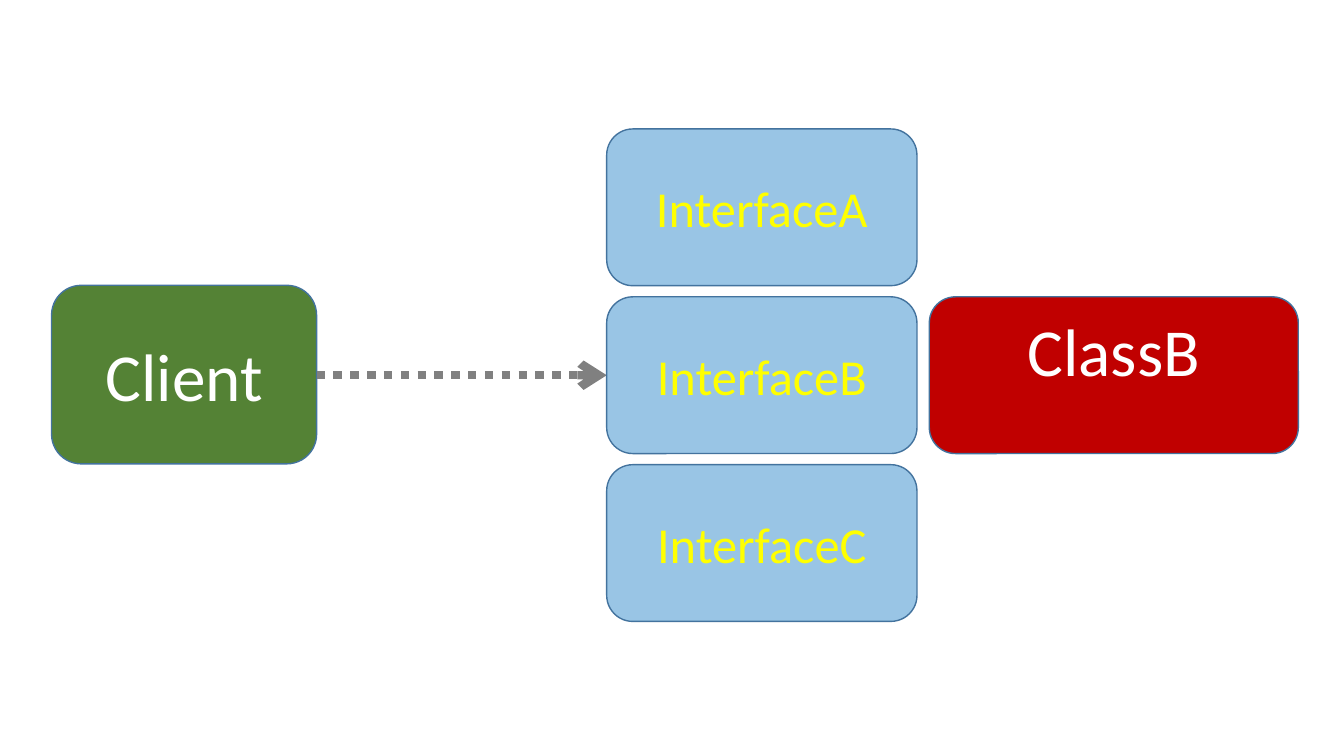
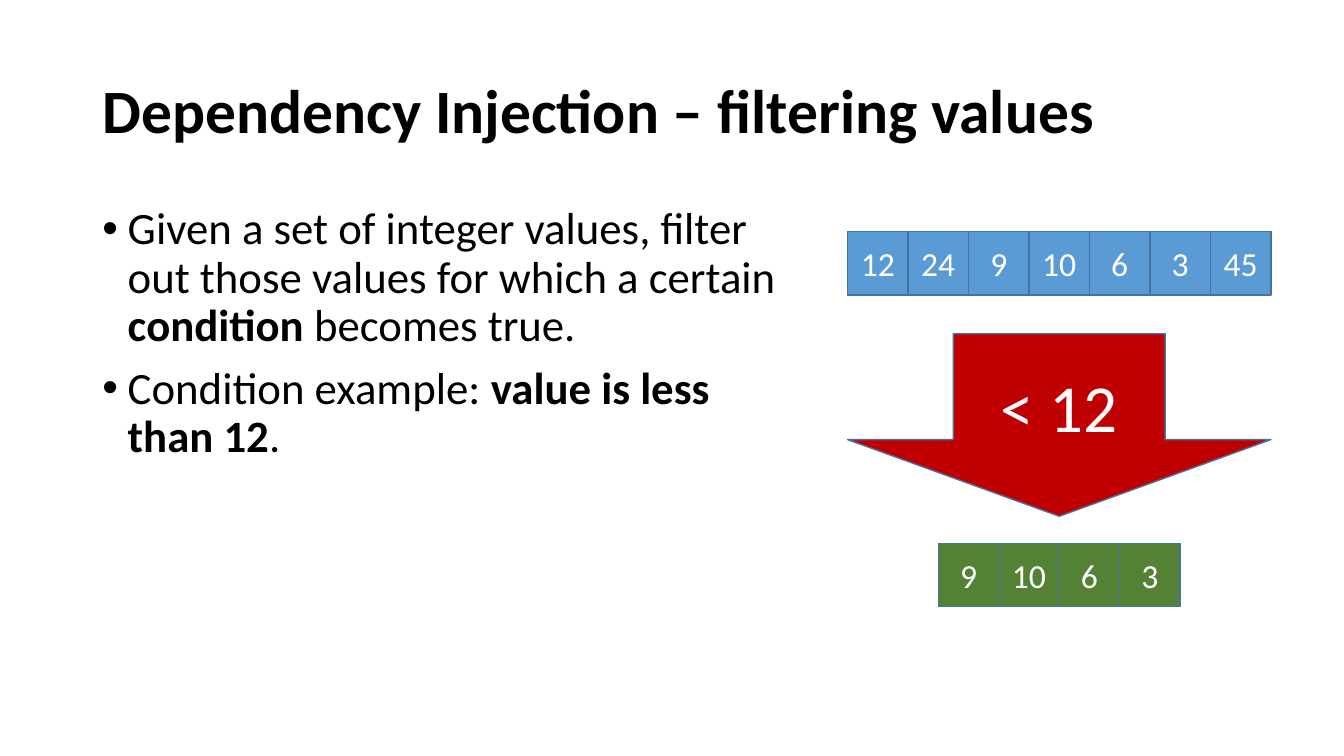
from lxml import etree
from pptx import Presentation
from pptx.dml.color import RGBColor
from pptx.enum import dml, shapes, text
from pptx.oxml import ns
from pptx.util import Cm, Pt

FONT = "Calibri"
BLACK = RGBColor(0x00, 0x00, 0x00)
WHITE = RGBColor(0xFF, 0xFF, 0xFF)
YELLOW = RGBColor(0xFF, 0xFF, 0x00)
GREEN = RGBColor(0x54, 0x82, 0x35)
RED = RGBColor(0xC0, 0x00, 0x00)
BLUE = RGBColor(0x5B, 0x9B, 0xD5)
INTERFACE_BLUE = RGBColor(0x00, 0x70, 0xC0)
OUTLINE = RGBColor(0x43, 0x73, 0x9E)
GREY = RGBColor(0x80, 0x80, 0x80)

TITLE_ONLY, BLANK = 5, 6
ROUNDED = shapes.MSO_SHAPE.ROUNDED_RECTANGLE


def add_xml(parent, tag, **attributes):
    return etree.SubElement(parent, ns.qn(tag), attributes)


def style_run(run, size, color, bold=False):
    run.font.name = FONT
    run.font.size = Pt(size)
    run.font.color.rgb = color
    run.font.bold = bold


def add_block(slide, kind, box, label, size, fill, color=WHITE,
              anchor=text.MSO_ANCHOR.MIDDLE):
    """Add an outlined shape with one centred label."""
    block = slide.shapes.add_shape(kind, *box)
    block.shadow.inherit = False
    block.fill.solid()
    block.fill.fore_color.rgb = fill
    block.line.color.rgb = OUTLINE
    block.line.width = Pt(1)
    block.text_frame.text = label
    block.text_frame.vertical_anchor = anchor
    paragraph = block.text_frame.paragraphs[0]
    paragraph.alignment = text.PP_ALIGN.CENTER
    style_run(paragraph.runs[0], size, color)
    return block


def add_dotted_arrow(slide, start, end):
    arrow = slide.shapes.add_connector(shapes.MSO_CONNECTOR.STRAIGHT, *start, *end)
    arrow.line.color.rgb = GREY
    arrow.line.width = Pt(6)
    arrow.line.dash_style = dml.MSO_LINE.ROUND_DOT
    add_xml(arrow.line._get_or_add_ln(), "a:tailEnd", type="arrow")
    add_xml(arrow._element.spPr, "a:effectLst")


def add_interfaces(slide, left, top, width, height, pitch, names):
    """Stack translucent interface blocks at an equal pitch."""
    for row, name in enumerate(names):
        block = add_block(slide, ROUNDED, (left, top + row * pitch, width, height),
                          name, 36, INTERFACE_BLUE, YELLOW)
        solid_color = block._element.spPr.find(ns.qn("a:solidFill"))[0]
        add_xml(solid_color, "a:alpha", val="40000")


def add_title(slide, title):
    heading = slide.shapes.title
    heading.left, heading.top = Cm(2.33), Cm(1.01)
    heading.width, heading.height = Cm(29.21), Cm(3.68)
    heading.text_frame.text = title
    heading.text_frame.vertical_anchor = text.MSO_ANCHOR.MIDDLE
    paragraph = heading.text_frame.paragraphs[0]
    paragraph.alignment = text.PP_ALIGN.LEFT
    paragraph.line_spacing = 0.9
    style_run(paragraph.runs[0], 44, BLACK, bold=True)


def add_bullets(slide, box, bullets):
    """Add bullets, each a list of phrases that alternate plain and bold."""
    frame = slide.shapes.add_textbox(*box).text_frame
    frame.word_wrap = True
    for index, phrases in enumerate(bullets):
        paragraph = frame.add_paragraph() if index else frame.paragraphs[0]
        paragraph.line_spacing = 0.9
        paragraph.space_before = Pt(10)
        properties = paragraph._p.get_or_add_pPr()
        properties.set("marL", str(Cm(0.64)))
        properties.set("indent", str(-Cm(0.64)))
        add_xml(properties, "a:buFont", typeface="Arial")
        add_xml(properties, "a:buChar", char="•")
        for position, phrase in enumerate(phrases):
            run = paragraph.add_run()
            run.text = phrase
            style_run(run, 32, BLACK, bold=position % 2 == 1)


def add_value_row(slide, center, top, cell_width, values, fill):
    """Draw touching cells, centred as a row."""
    left = center - len(values) * cell_width // 2
    for column, value in enumerate(values):
        add_block(slide, shapes.MSO_SHAPE.RECTANGLE,
                  (left + column * cell_width, top, cell_width, Cm(1.6)),
                  str(value), 24, fill)


def add_filter(slide, left, top, width, values, limit):
    """Show the values, the condition and the values that pass it."""
    center = left + width // 2
    cell_width = width // len(values)
    add_value_row(slide, center, top, cell_width, values, BLUE)
    arrow = add_block(slide, shapes.MSO_SHAPE.DOWN_ARROW,
                      (left, top + Cm(2.57), width, Cm(4.6)), f"< {limit}", 48, RED)
    arrow.adjustments[0] = 0.5
    arrow.adjustments[1] = 0.42
    passing = [value for value in values if value < limit]
    add_value_row(slide, center, top + Cm(7.85), cell_width, passing, GREEN)


def build_interfaces_slide(deck):
    slide = deck.slides.add_slide(deck.slide_layouts[BLANK])
    client_left, client_width = Cm(1.3), Cm(6.68)
    interface_left, interface_width = Cm(15.29), Cm(7.82)
    block_height, pitch, top = Cm(3.95), Cm(4.23), Cm(3.25)
    middle = top + pitch + block_height // 2

    add_block(slide, ROUNDED, (client_left, Cm(7.19), client_width, Cm(4.5)),
              "Client", 48, GREEN)
    add_block(slide, ROUNDED, (Cm(23.42), top + pitch, Cm(9.3), block_height),
              "ClassB", 48, RED, anchor=text.MSO_ANCHOR.TOP)
    add_dotted_arrow(slide, (client_left + client_width, middle),
                     (interface_left, middle))
    add_interfaces(slide, interface_left, top, interface_width, block_height, pitch,
                   ["InterfaceA", "InterfaceB", "InterfaceC"])


def build_filtering_slide(deck):
    slide = deck.slides.add_slide(deck.slide_layouts[TITLE_ONLY])
    add_title(slide, "Dependency Injection – filtering values")
    add_bullets(slide, (Cm(2.33), Cm(5.07), Cm(17.78), Cm(12.09)), [
        ["Given a set of integer values, filter out those values for which a certain ",
         "condition", " becomes true."],
        ["Condition example: ", "value is less than 12", "."],
    ])
    add_filter(slide, Cm(21.36), Cm(5.84), Cm(10.67), [12, 24, 9, 10, 6, 3, 45], 12)


def main():
    deck = Presentation()
    deck.slide_width, deck.slide_height = Cm(33.87), Cm(19.05)
    build_interfaces_slide(deck)
    build_filtering_slide(deck)
    deck.save("out.pptx")


if __name__ == "__main__":
    main()
